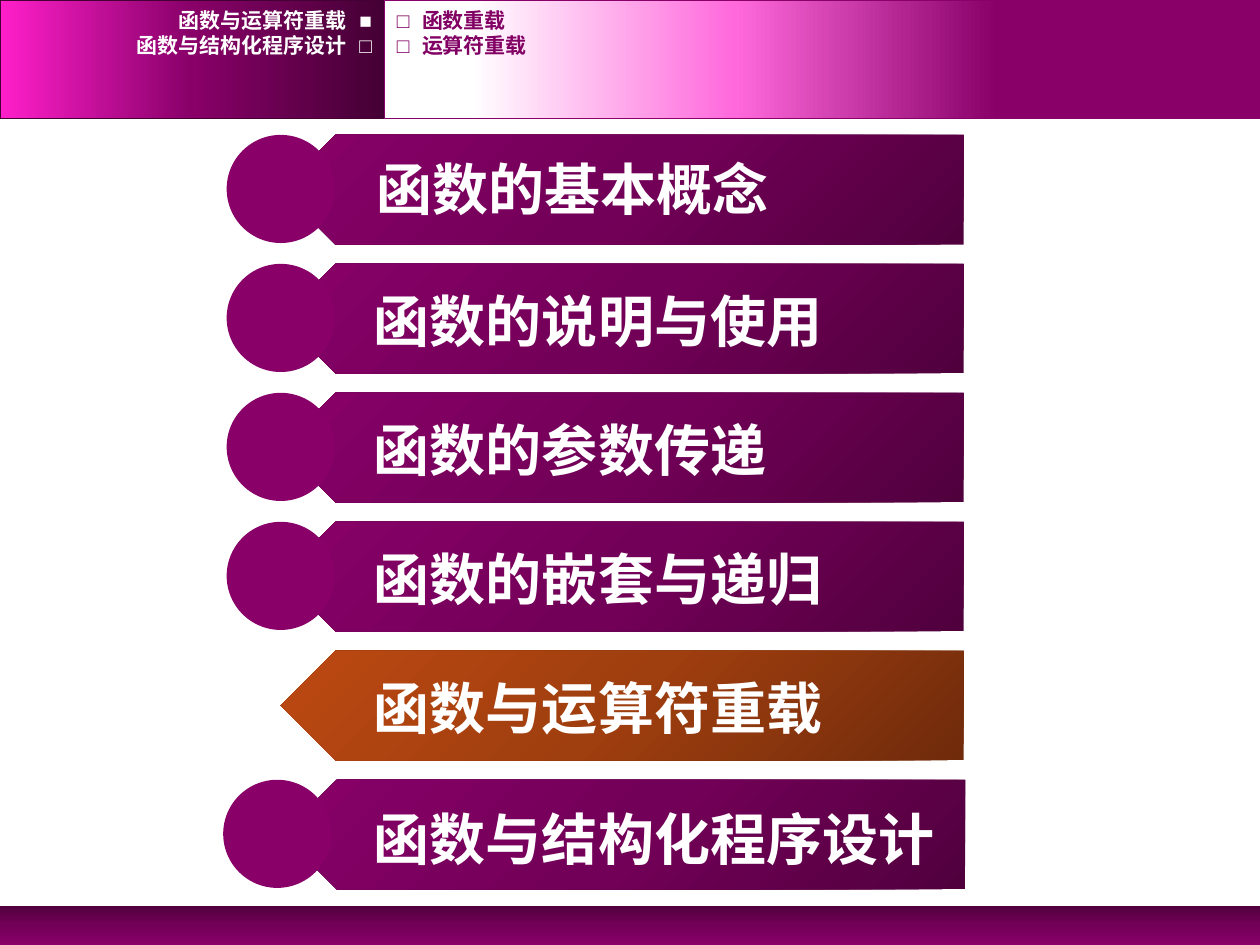
from dataclasses import dataclass

from lxml import etree
from pptx import Presentation
from pptx import util as u
from pptx.dml.color import RGBColor
from pptx.enum import shapes, text
from pptx.oxml.ns import qn

COLOURS = {
    "white": "FFFFFF", "purple": "880068", "plum": "730058", "deep": "51003E",
    "night": "440034", "magenta": "FF1FCA", "pink": "FF69DC", "label": "820064",
    "rust": "702B0B", "copper": "9F3E0F", "orange": "BD4912",
}
FONT = "Courier New"
SHAPE = shapes.MSO_SHAPE
ALIGN = text.PP_ALIGN


@dataclass
class Gradient:
    stops: list[tuple[int, str]]  # percent, colour name
    angle: int  # degrees, clockwise


@dataclass
class Box:
    left: float  # all in cm
    top: float
    width: float
    height: float

    def lengths(self) -> list[u.Length]:
        return [u.Cm(n) for n in (self.left, self.top, self.width, self.height)]


@dataclass
class Topic:
    title: str
    text_offset: float = 0.33
    text_left: float = 7.29
    plate_left: float = 5.66
    circle_left: float = 4.57
    current: bool = False


@dataclass
class HeaderEntry:
    label: str
    row: int
    left: float
    width: float
    colour: str
    alignment: ALIGN


PURPLE_STOPS = [(0, "deep"), (50, "plum"), (100, "purple")]
PLATE = Gradient(PURPLE_STOPS, 315)
CURRENT_PLATE = Gradient([(0, "rust"), (50, "copper"), (100, "orange")], 315)

HEADER_HEIGHT, HEADER_SPLIT, SLIDE_WIDTH = 2.39, 7.75, 25.4
TOPIC_TOP, TOPIC_PITCH = 2.72, 2.6

HEADER_ENTRIES = [
    HeaderEntry("函数与运算符重载 ■", 0, 0, HEADER_SPLIT, "white", ALIGN.RIGHT),
    HeaderEntry("函数与结构化程序设计 □", 1, 0, HEADER_SPLIT, "white", ALIGN.RIGHT),
    HeaderEntry("□ 函数重载", 0, HEADER_SPLIT, 15.29, "label", ALIGN.LEFT),
    HeaderEntry("□ 运算符重载", 1, HEADER_SPLIT, 15.29, "label", ALIGN.LEFT),
]
TOPICS = [
    Topic("函数的基本概念", text_offset=0.28, text_left=7.34),
    Topic("函数的说明与使用"),
    Topic("函数的参数传递"),
    Topic("函数的嵌套与递归"),
    Topic("函数与运算符重载", current=True),
    Topic("函数与结构化程序设计", text_offset=0.38, plate_left=5.69, circle_left=4.5),
]


def rgb(name: str) -> RGBColor:
    return RGBColor.from_string(COLOURS[name])


def fill_gradient(shape, gradient: Gradient) -> None:
    shape.fill.gradient()
    grad_fill = shape._element.spPr.find(qn("a:gradFill"))
    stop_list = grad_fill.find(qn("a:gsLst"))
    for stop in list(stop_list):
        stop_list.remove(stop)
    for percent, name in gradient.stops:
        stop = etree.SubElement(stop_list, qn("a:gs"), pos=str(percent * 1000))
        etree.SubElement(stop, qn("a:srgbClr"), val=COLOURS[name])
    direction = grad_fill.find(qn("a:lin"))
    direction.set("ang", str(gradient.angle * 60000))
    direction.set("scaled", "0")


def draw_shape(slide, kind: SHAPE, box: Box, fill: Gradient | str,
               line: str | None = None, flipped: bool = False) -> None:
    shape = slide.shapes.add_shape(kind, *box.lengths())
    shape.shadow.inherit = False
    if isinstance(fill, Gradient):
        fill_gradient(shape, fill)
    else:
        shape.fill.solid()
        shape.fill.fore_color.rgb = rgb(fill)
    if line:
        shape.line.color.rgb = rgb(line)
        shape.line.width = u.Pt(1)
    else:
        shape.line.fill.background()
    if flipped:
        shape._element.spPr.xfrm.set("flipH", "1")


def draw_text(slide, content: str, box: Box, size: int, colour: str,
              alignment: ALIGN = ALIGN.LEFT,
              anchor: text.MSO_ANCHOR = text.MSO_ANCHOR.TOP,
              auto_size: text.MSO_AUTO_SIZE = text.MSO_AUTO_SIZE.NONE) -> None:
    frame = slide.shapes.add_textbox(*box.lengths()).text_frame
    frame.word_wrap = True
    frame.auto_size = auto_size
    frame.vertical_anchor = anchor
    frame.text = content
    paragraph = frame.paragraphs[0]
    paragraph.alignment = alignment
    font = paragraph.runs[0].font
    font.name, font.size, font.bold = FONT, u.Pt(size), True
    font.color.rgb = rgb(colour)
    # Chinese characters take their typeface from the East Asian slot
    etree.SubElement(font._element, qn("a:ea"), typeface=FONT)


def draw_header_entry(slide, entry: HeaderEntry) -> None:
    box = Box(entry.left, 0.15 + 0.51 * entry.row, entry.width, 0.51)
    draw_text(slide, entry.label, box, 12, entry.colour, entry.alignment,
              text.MSO_ANCHOR.MIDDLE)


def draw_topic(slide, topic: Topic, top: float) -> None:
    draw_shape(slide, SHAPE.PENTAGON, Box(topic.plate_left, top, 13.77, 2.21),
               CURRENT_PLATE if topic.current else PLATE, flipped=True)
    if not topic.current:
        draw_shape(slide, SHAPE.OVAL, Box(topic.circle_left, top, 2.18, 2.18), "purple")
    draw_text(slide, topic.title, Box(topic.text_left, top + topic.text_offset, 11.99, 1.63),
              32, "white", auto_size=text.MSO_AUTO_SIZE.SHAPE_TO_FIT_TEXT)


def main() -> None:
    presentation = Presentation()
    presentation.slide_width = u.Cm(SLIDE_WIDTH)
    presentation.slide_height = u.Cm(19.05)
    slide = presentation.slides.add_slide(presentation.slide_layouts[6])

    # Footer band and the two header bands
    draw_shape(slide, SHAPE.RECTANGLE, Box(0, 18.26, SLIDE_WIDTH, 0.79),
               Gradient(PURPLE_STOPS, 90))
    draw_shape(slide, SHAPE.RECTANGLE, Box(0, 0, HEADER_SPLIT, HEADER_HEIGHT),
               Gradient([(0, "night"), (50, "purple"), (100, "magenta")], 180), "night")
    draw_shape(slide, SHAPE.RECTANGLE,
               Box(HEADER_SPLIT, 0, SLIDE_WIDTH - HEADER_SPLIT, HEADER_HEIGHT),
               Gradient([(30, "purple"), (60, "pink"), (90, "white")], 180), "purple")

    # Navigation labels in the header
    for entry in HEADER_ENTRIES:
        draw_header_entry(slide, entry)

    # Chapter topics, evenly spaced
    for index, topic in enumerate(TOPICS):
        draw_topic(slide, topic, TOPIC_TOP + index * TOPIC_PITCH)

    presentation.save("out.pptx")


if __name__ == "__main__":
    main()
